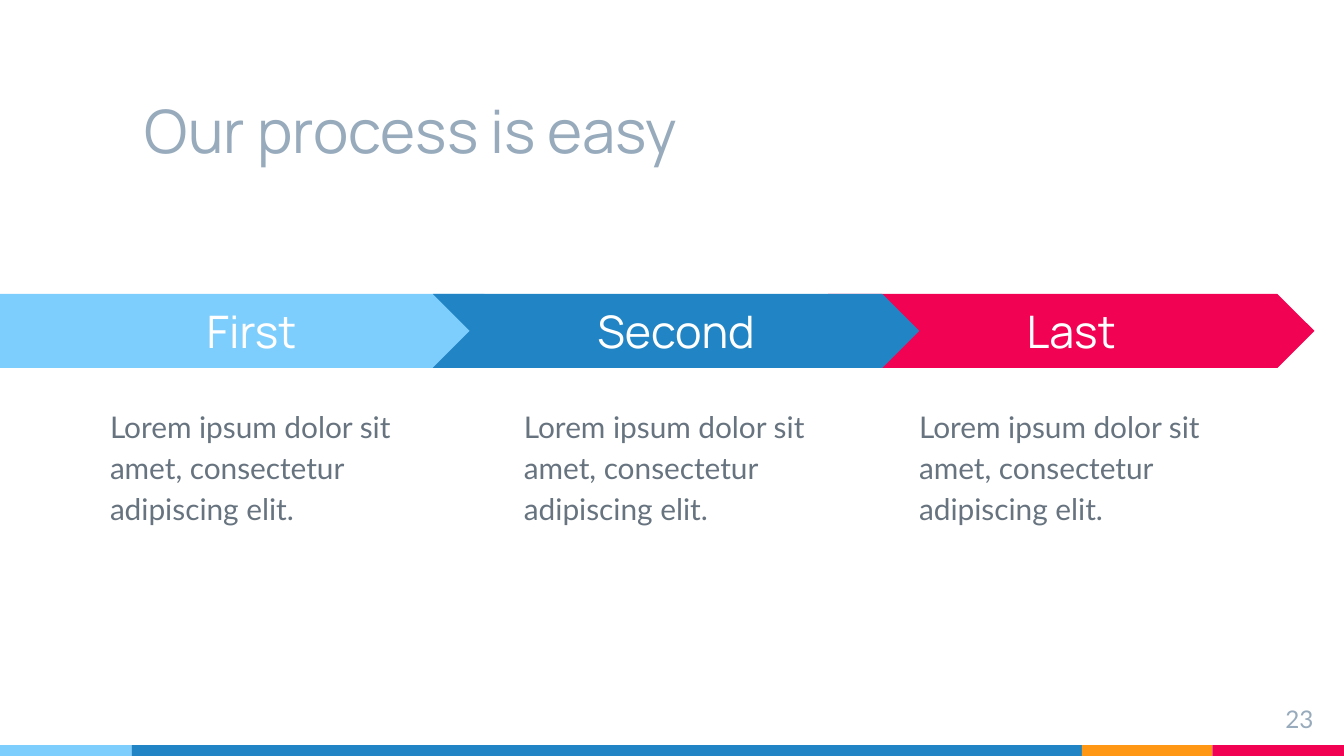
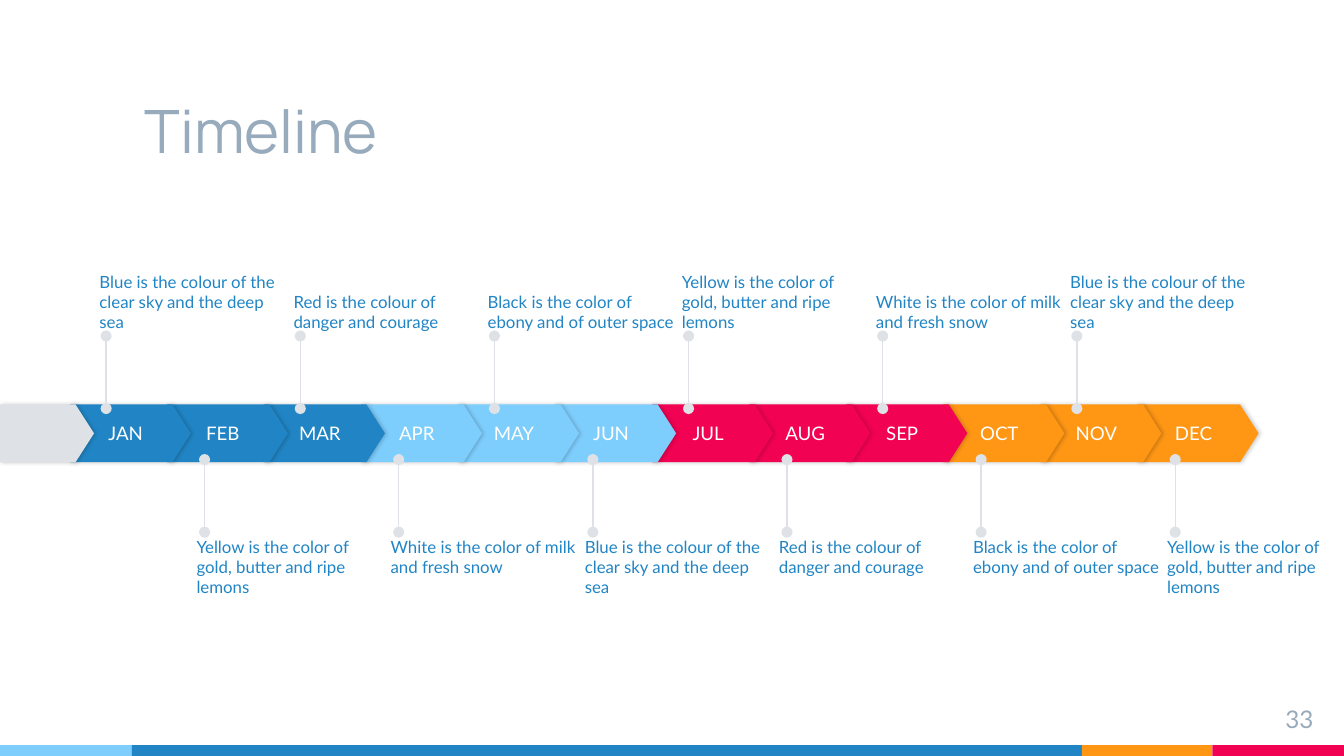
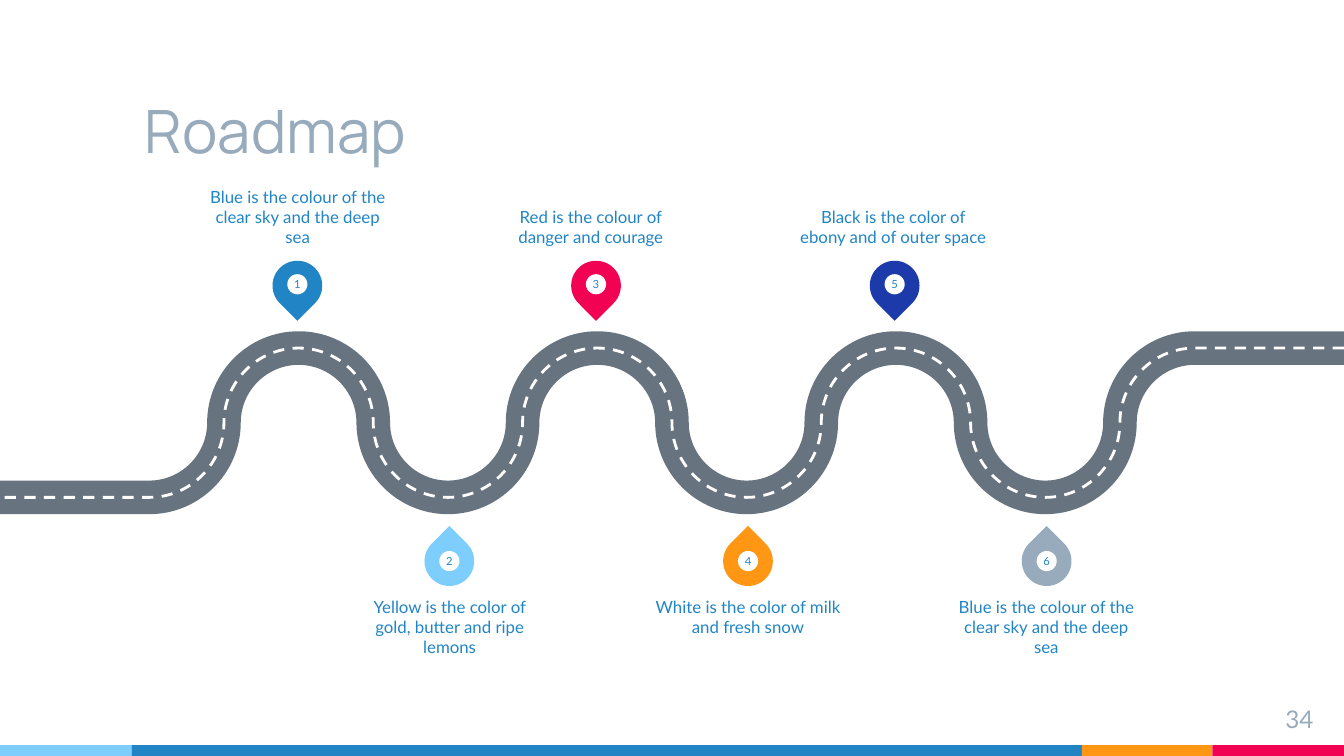
from lxml.etree import SubElement
from pptx import Presentation
from pptx.dml.color import RGBColor
from pptx.enum.dml import MSO_LINE
from pptx.enum.shapes import MSO_CONNECTOR, MSO_SHAPE
from pptx.enum.text import MSO_ANCHOR, PP_ALIGN
from pptx.oxml.ns import qn
from pptx.util import Inches, Pt

# Shared style
COLORS = {
    "sky": "7ECEFD", "blue": "2185C5", "orange": "FF9715", "red": "F20253",
    "navy": "1C3AA9", "slate": "97ABBC", "road": "677480", "pale": "DEE2E6",
    "white": "FFFFFF", "black": "000000",
}
HEADING_FONT, BODY_FONT = "Manrope", "Lato"
SLIDE_WIDTH = 10
SLIDE_HEIGHT = SLIDE_WIDTH * 9 / 16
BANDS = [(0.98, "sky"), (7.07, "blue"), (0.97, "orange"), (0.98, "red")]
BAND_HEIGHT = 0.08

# Process: label, colour, shape, arrow left, arrow width, text left
PROCESS_TEXT = "Lorem ipsum dolor sit amet, consectetur adipiscing elit."
STEPS = [
    ("First", "sky", MSO_SHAPE.PENTAGON, 0, 3.88, 0.72),
    ("Second", "blue", MSO_SHAPE.CHEVRON, 3.22, 3.62, 3.8),
    ("Last", "red", MSO_SHAPE.CHEVRON, 6.16, 3.62, 6.74),
]
STEP_TOP = SLIDE_HEIGHT * 7 / 18

# Captions used by the timeline and the roadmap
BLUE = "Blue is the colour of the clear sky and the deep sea"
YELLOW = "Yellow is the color of gold, butter and ripe lemons"
RED = "Red is the colour of danger and courage"
WHITE = "White is the color of milk and fresh snow"
BLACK = "Black is the color of ebony and of outer space"
CAPTION_WIDTH, CAPTION_HEIGHT = 1.41, 0.58

# Timeline: one caption for each month, one colour for each quarter
MONTHS = [
    ("JAN", BLUE), ("FEB", YELLOW), ("MAR", RED), ("APR", WHITE),
    ("MAY", BLACK), ("JUN", BLUE), ("JUL", YELLOW), ("AUG", RED),
    ("SEP", WHITE), ("OCT", BLACK), ("NOV", BLUE), ("DEC", YELLOW),
]
QUARTER_COLORS = ["blue", "sky", "red", "orange"]
MONTH_PITCH = 6.5 / 9
MONTH_TOP, MONTH_HEIGHT, MONTH_POINT = 3.01, 0.43, 0.32

# Roadmap: pin colour, caption, caption left
MILESTONES = [
    ("blue", BLUE, 1.51), ("sky", YELLOW, 2.64), ("red", RED, 3.69),
    ("orange", WHITE, 4.86), ("navy", BLACK, 5.94), ("slate", BLUE, 7.08),
]
BEND_PITCH = SLIDE_WIDTH / 9
BEND_RADIUS = BEND_PITCH / 2
QUARTER_TURNS = 14
ROAD_TOP = 2.59
ARC_PULL = 0.55
PIN_SIZE, DOT_SIZE = 0.37, 0.15


def color(name):
    return RGBColor.from_string(COLORS[name])


def box(left, top, width, height):
    return [Inches(value) for value in (left, top, width, height)]


def write(shape, text, size, ink, font=BODY_FONT, align=PP_ALIGN.LEFT,
          anchor=MSO_ANCHOR.TOP, inset=0.0, spacing=None):
    frame = shape.text_frame
    frame.word_wrap = True
    frame.vertical_anchor = anchor
    frame.margin_left = frame.margin_right = Inches(inset)
    frame.margin_top = frame.margin_bottom = Inches(inset)
    paragraph = frame.paragraphs[0]
    paragraph.alignment = align
    paragraph.line_spacing = spacing
    run = paragraph.add_run()
    run.text = text
    run.font.size = Pt(size)
    run.font.name = font
    run.font.color.rgb = color(ink)


def add_text(parent, place, text, size, ink, **style):
    write(parent.shapes.add_textbox(*box(*place)), text, size, ink, **style)


def add_caption(slide, left, top, text, above, align=PP_ALIGN.LEFT):
    width = min(CAPTION_WIDTH, SLIDE_WIDTH - left)
    add_text(slide, (left, top, width, CAPTION_HEIGHT), text, 9, "blue", align=align,
             anchor=MSO_ANCHOR.BOTTOM if above else MSO_ANCHOR.TOP)


def add_block(parent, kind, place, fill, adjustment=None):
    shape = parent.shapes.add_shape(kind, *box(*place))
    shape.shadow.inherit = False
    shape.fill.solid()
    shape.fill.fore_color.rgb = color(fill)
    shape.line.fill.background()
    if adjustment is not None:
        shape.adjustments[0] = adjustment
    return shape


def add_soft_shadow(shape):
    effects = shape.element.spPr.find(qn("a:effectLst"))
    shadow = SubElement(effects, qn("a:outerShdw"), blurRad=str(Pt(2.2)),
                        dist=str(Pt(0.8)), dir="0", algn="bl", rotWithShape="0")
    shade = SubElement(shadow, qn("a:srgbClr"), val=COLORS["black"])
    SubElement(shade, qn("a:alpha"), val="20000")


def add_pointer(slide, x, start, end):
    line = slide.shapes.add_connector(
        MSO_CONNECTOR.STRAIGHT, Inches(x), Inches(start), Inches(x), Inches(end))
    line.line.color.rgb = color("pale")
    line.line.width = Pt(0.75)
    properties = line.element.spPr
    for tag in ("a:headEnd", "a:tailEnd"):
        SubElement(properties.find(qn("a:ln")), qn(tag), type="oval")
    SubElement(properties, qn("a:effectLst"))


def add_base_slide(presentation, title, number):
    slide = presentation.slides.add_slide(presentation.slide_layouts[6])
    left = 0
    for width, fill in BANDS:
        place = (left, SLIDE_HEIGHT - BAND_HEIGHT, width, BAND_HEIGHT)
        add_block(slide, MSO_SHAPE.RECTANGLE, place, fill)
        left += width
    add_text(slide, (0.98, 0.39, 7.07, 0.94), title, 32, "slate",
             font=HEADING_FONT, anchor=MSO_ANCHOR.BOTTOM, inset=0.1)
    add_text(slide, (9.27, 5.14, 0.6, 0.34), number, 13, "slate",
             align=PP_ALIGN.RIGHT, inset=0.1)
    return slide


def build_process(presentation):
    slide = add_base_slide(presentation, "Our process is easy", "23")
    # The middle arrow lies over both neighbours
    for index in (2, 0, 1):
        label, fill, kind, left, width, text_left = STEPS[index]
        step = slide.shapes.add_group_shape()
        arrow = add_block(step, kind, (left, STEP_TOP, width, 0.55), fill, 0.5)
        write(arrow, label, 24, "white", font=HEADING_FONT, align=PP_ALIGN.CENTER,
              anchor=MSO_ANCHOR.MIDDLE, inset=0.1)
        add_text(step, (text_left, 2.9, 2.45, 2.15), PROCESS_TEXT, 16, "road",
                 inset=0.1, spacing=1.15)


def build_timeline(presentation):
    slide = add_base_slide(presentation, "Timeline", "33")
    # Month arrows, the last one at the back
    for index, (month, _) in reversed(list(enumerate(MONTHS))):
        place = (0.52 + index * MONTH_PITCH, MONTH_TOP, 0.9, MONTH_HEIGHT)
        arrow = add_block(slide, MSO_SHAPE.PENTAGON, place,
                          QUARTER_COLORS[index // 3], MONTH_POINT)
        add_soft_shadow(arrow)
        write(arrow, month, 10, "white", align=PP_ALIGN.CENTER, anchor=MSO_ANCHOR.MIDDLE)
    lead = add_block(slide, MSO_SHAPE.PENTAGON, (0, MONTH_TOP, 0.7, MONTH_HEIGHT),
                     "pale", MONTH_POINT)
    add_soft_shadow(lead)
    # Pointers and captions: first those above, then those below
    for first in (0, 1):
        above = first == 0
        for index in range(first, len(MONTHS), 2):
            left = 0.74 + index * MONTH_PITCH
            if above:
                add_pointer(slide, left + 0.05, 3.04, 2.5)
            else:
                add_pointer(slide, left + 0.06, 3.96, 3.42)
            add_caption(slide, left, 1.89 if above else 3.99, MONTHS[index][1], above)


def road_nodes():
    heights = [0, 1, 2, 1]
    first_bend = SLIDE_WIDTH - BEND_PITCH
    nodes = [(SLIDE_WIDTH, ROAD_TOP)]
    for turn in range(QUARTER_TURNS + 1):
        nodes.append((first_bend - turn * BEND_RADIUS,
                      ROAD_TOP + heights[turn % 4] * BEND_RADIUS))
    nodes.append((0, ROAD_TOP + BEND_PITCH))
    return [(Inches(x), Inches(y)) for x, y in nodes]


def round_bends(road):
    """Turn the inner segments into quarter arcs, level at each crest."""
    segments = list(road.element.iter(qn("a:lnTo")))
    nodes = [(int(segment[0].get("x")), int(segment[0].get("y"))) for segment in segments]
    for turn in range(1, QUARTER_TURNS + 1):
        (x0, y0), (x1, y1) = nodes[turn - 1], nodes[turn]
        pull_x, pull_y = ARC_PULL * (x1 - x0), ARC_PULL * (y1 - y0)
        if turn % 2:
            controls = [(x0 + pull_x, y0), (x1, y1 - pull_y)]
        else:
            controls = [(x0, y0 + pull_y), (x1 - pull_x, y1)]
        outline = segments[turn].getparent()
        curve = SubElement(outline, qn("a:cubicBezTo"))
        for x, y in controls + [(x1, y1)]:
            SubElement(curve, qn("a:pt"), x=str(round(x)), y=str(round(y)))
        outline.replace(segments[turn], curve)


def add_road(slide, ink, width, dash=None):
    start, *rest = road_nodes()
    builder = slide.shapes.build_freeform(*start)
    builder.add_line_segments(rest, close=False)
    road = builder.convert_to_shape()
    round_bends(road)
    road.shadow.inherit = False
    road.fill.background()
    road.line.color.rgb = color(ink)
    road.line.width = Pt(width)
    if dash is not None:
        road.line.dash_style = dash


def build_roadmap(presentation):
    slide = add_base_slide(presentation, "Roadmap", "34")
    add_road(slide, "road", 18)
    add_road(slide, "white", 1.5, MSO_LINE.DASH)
    for index, (fill, caption, caption_left) in enumerate(MILESTONES):
        above = index % 2 == 0
        shift = -0.01 if above else 0.01
        center = (index + 2) * BEND_PITCH + shift
        pin_top, dot_top, caption_top = (1.94, 2.04, 1.26) if above else (3.99, 4.1, 4.44)
        pin = add_block(slide, MSO_SHAPE.TEAR,
                        (center - PIN_SIZE / 2, pin_top, PIN_SIZE, PIN_SIZE), fill, 1)
        pin.rotation = 135 if above else 315
        dot = add_block(slide, MSO_SHAPE.OVAL,
                        (center - DOT_SIZE / 2, dot_top, DOT_SIZE, DOT_SIZE), "white")
        write(dot, str(index + 1), 6, "blue", align=PP_ALIGN.CENTER,
              anchor=MSO_ANCHOR.MIDDLE)
        add_caption(slide, caption_left, caption_top, caption, above, PP_ALIGN.CENTER)


def main():
    presentation = Presentation()
    presentation.slide_width = Inches(SLIDE_WIDTH)
    presentation.slide_height = Inches(SLIDE_HEIGHT)
    build_process(presentation)
    build_timeline(presentation)
    build_roadmap(presentation)
    presentation.save("out.pptx")


if __name__ == "__main__":
    main()
